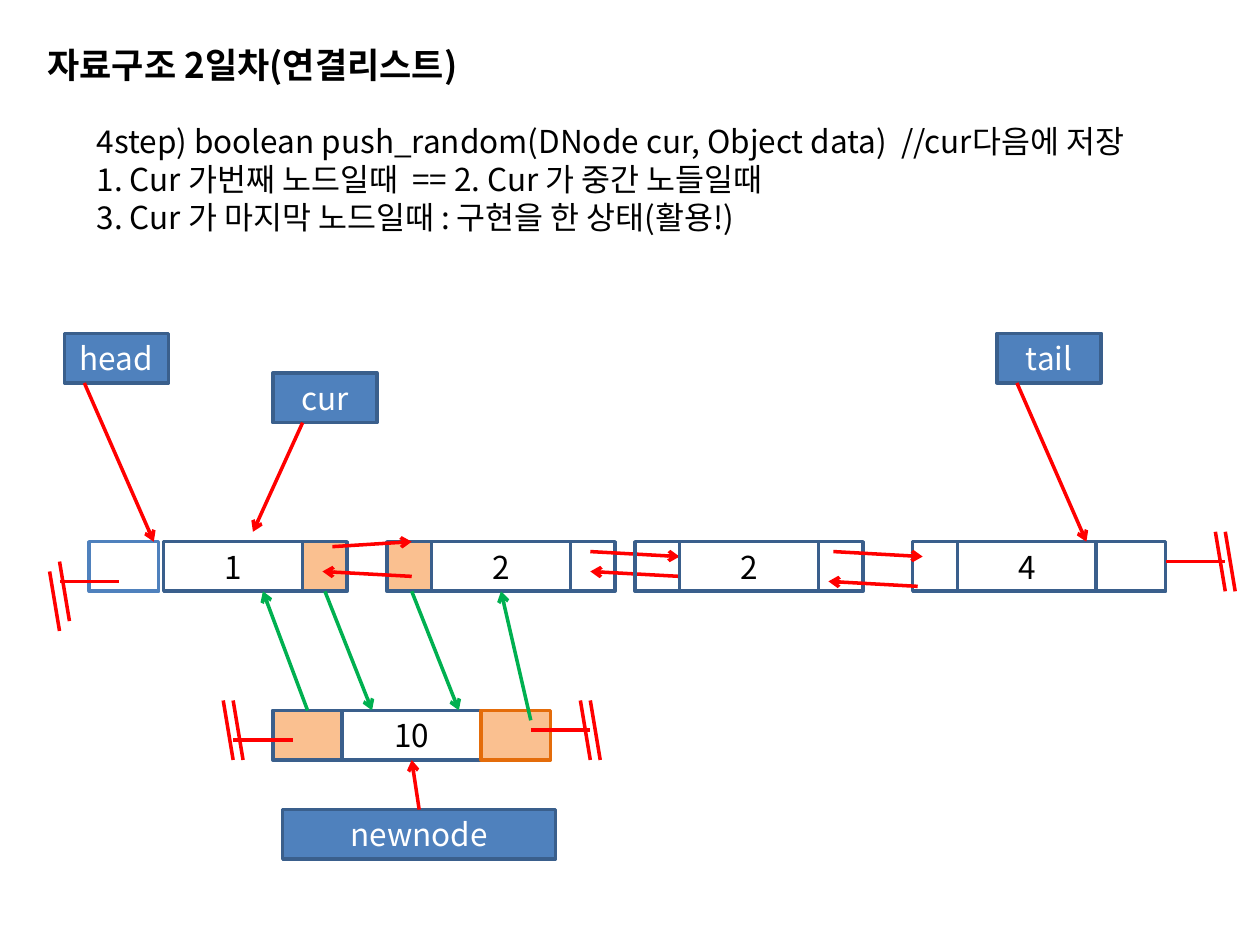
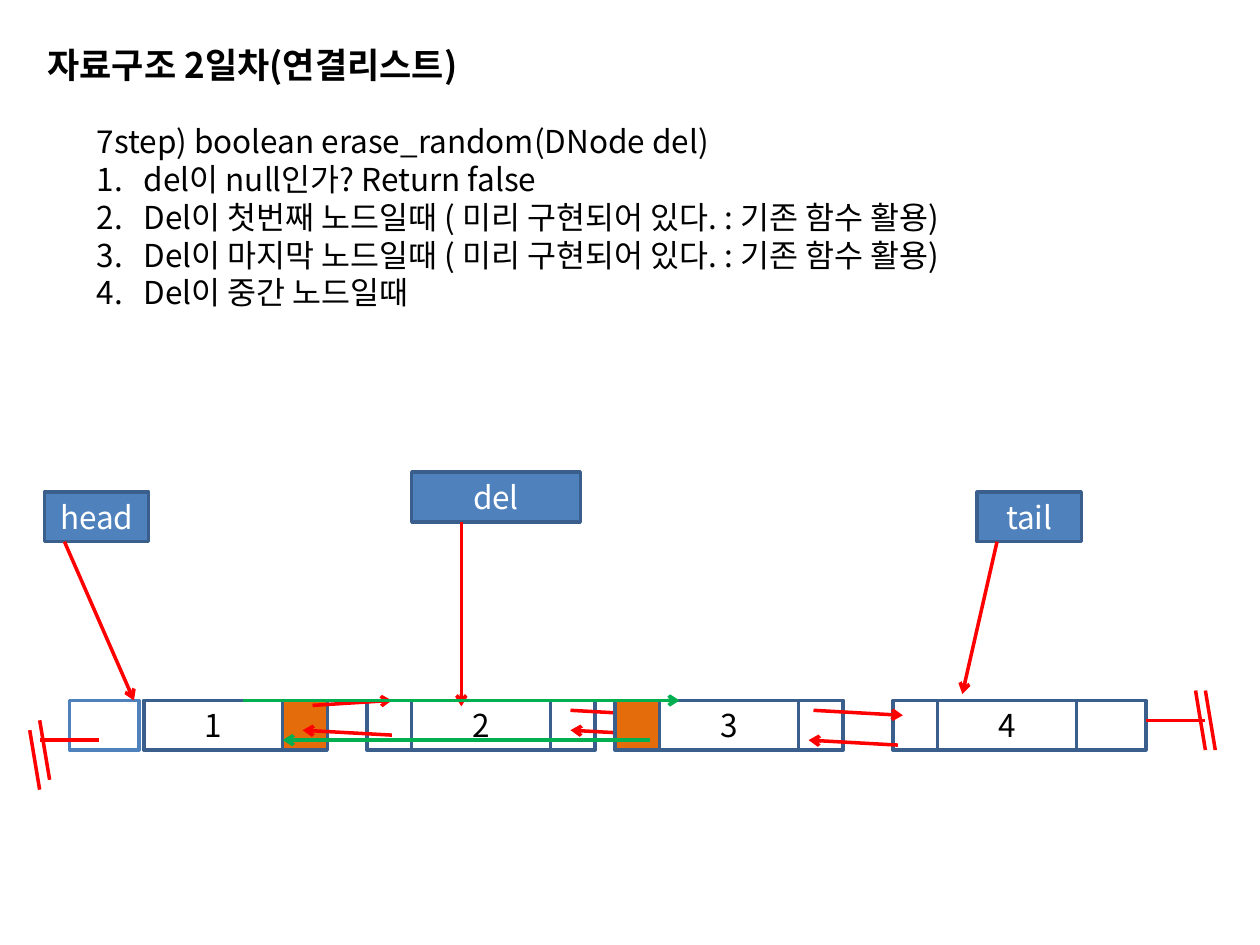
from lxml.etree import SubElement
from pptx import Presentation
from pptx.dml.color import RGBColor
from pptx.enum.shapes import MSO_CONNECTOR, MSO_SHAPE
from pptx.enum.text import MSO_ANCHOR, MSO_AUTO_SIZE, PP_ALIGN
from pptx.oxml.ns import qn
from pptx.util import Cm, Pt

FONT = "Noto Sans CJK KR"
COLORS = {
    "black": "000000", "white": "FFFFFF", "red": "FF0000", "green": "00B050",
    "blue": "4F81BD", "navy": "3A5F8C", "peach": "FAC090", "orange": "E46C0A",
}
TITLE = "자료구조 2일차(연결리스트)"
CELL_HEIGHT = 1.0
DATA_WIDTH = 2.8
LABEL_WIDTH = 2.1
NARROW, WIDE = 0.9, 1.4

NODES = [
    {"data": 1.5, "prev": WIDE, "next": NARROW, "gap": 0.1},
    {"data": 6.9, "prev": NARROW, "next": NARROW},
    {"data": 11.9, "prev": NARROW, "next": NARROW},
    {"data": 17.5, "prev": NARROW, "next": WIDE},
]
LINKS_AFTER_NODE = {
    2: [(4.9, 0.1, 6.5, 0), (6.5, 0.7, 4.7, 0.6),
        (10.1, 0.2, 11.9, 0.3), (11.9, 0.7, 10.1, 0.6)],
    4: [(15, 0.2, 16.8, 0.3), (16.7, 0.9, 14.9, 0.8)],
}
LIST_NULLS = [
    {"stem": (-0.6, 0.6, 0.8), "slashes": [(-0.6, 0.4), (-0.8, 0.6)]},
    {"stem": (21.7, 22.9, 0.4), "slashes": [(22.7, -0.2), (22.9, -0.2)]},
]
HEAD = {"name": "head", "at": (-0.5, -4.2), "arrow": (-0.1, -3.2, 1.3, 0)}
TAIL = {"name": "tail", "at": (18.3, -4.2)}

SLIDES = [
    {
        "origin": (1.8, 10.92),
        "text_size": (21.62, 5.64),
        "lines": [
            "4step) boolean push_random(DNode cur, Object data)  //cur다음에 저장",
            "1. Cur 가번째 노드일때  == 2. Cur 가 중간 노들일때",
            "3. Cur 가 마지막 노드일때 : 구현을 한 상태(활용!)",
        ],
        "numbered": False,
        "values": ["1", "2", "2", "4"],
        "fills": {(1, "next"): "peach", (2, "prev"): "peach", (4, "next"): "white"},
        "pointers": [
            HEAD,
            TAIL | {"arrow": (18.7, -3.2, 20.1, 0)},
            {"name": "cur", "at": (3.7, -3.4), "arrow": (4.3, -2.4, 3.3, -0.2)},
            {"name": "newnode", "at": (3.9, 5.4), "width": 5.5,
             "arrow": (6.65, 5.4, 6.5, 4.4)},
        ],
        "new_node": {
            "top": 3.4,
            "cells": [(3.7, WIDE, "", "peach", "navy"),
                      (5.1, DATA_WIDTH, "10", None, "navy"),
                      (7.9, WIDE, "", "peach", "orange")],
            "nulls": [
                {"stem": (2.9, 4.1, 4.0), "slashes": [(2.7, 3.2), (2.9, 3.2)]},
                {"stem": (8.9, 10.1, 3.8), "slashes": [(9.9, 3.2), (10.1, 3.2)]},
            ],
        },
        "new_links": [(4.4, 3.4, 3.5, 1), (8.9, 3.6, 8.3, 1),
                      (4.75, 1, 5.7, 3.4), (6.5, 1, 7.45, 3.4)],
    },
    {
        "origin": (1.4, 14.12),
        "text_size": (19.48, 7.19),
        "lines": [
            "7step) boolean erase_random(DNode del)",
            "del이 null인가? Return false",
            "Del이 첫번째 노드일때 ( 미리 구현되어 있다. : 기존 함수 활용)",
            "Del이 마지막 노드일때 ( 미리 구현되어 있다. : 기존 함수 활용)",
            "Del이 중간 노드일때",
        ],
        "numbered": True,
        "values": ["1", "2", "3", "4"],
        "fills": {(1, "next"): "orange", (2, "prev"): "white", (3, "prev"): "orange",
                  (3, "next"): "white", (4, "next"): "white"},
        "pointers": [
            HEAD,
            TAIL | {"arrow": (18.7, -3.2, 18, -0.13)},
            {"name": "del", "at": (6.9, -4.6), "width": 3.4,
             "arrow": (7.9, -3.6, 7.9, 0.12)},
        ],
        "new_node": None,
        "new_links": [(11.7, 0.8, 4.3, 0.8), (3.5, 0, 12.3, 0)],
    },
]


def rgb(name):
    return RGBColor.from_string(COLORS[name])


def add_text(paragraph, text, size=18, color="black", bold=False):
    run = paragraph.add_run()
    run.text = text
    font = run.font
    font.size, font.bold, font.name = Pt(size), bold, FONT
    font.color.rgb = rgb(color)
    SubElement(font._element, qn("a:ea"), typeface=FONT)


def add_title(slide):
    title = slide.shapes.title
    title.left, title.top, title.width, title.height = Cm(0.7), Cm(0.74), Cm(16.6), Cm(1.11)
    frame = title.text_frame
    frame.auto_size = MSO_AUTO_SIZE.SHAPE_TO_FIT_TEXT
    frame.vertical_anchor = MSO_ANCHOR.TOP
    paragraph = frame.paragraphs[0]
    paragraph.alignment = PP_ALIGN.LEFT
    add_text(paragraph, TITLE, 20, bold=True)


def add_steps(slide, lines, size, numbered):
    width, height = size
    frame = slide.shapes.add_textbox(Cm(1.7), Cm(2.34), Cm(width), Cm(height)).text_frame
    frame.word_wrap = False
    frame.auto_size = MSO_AUTO_SIZE.SHAPE_TO_FIT_TEXT
    for index, line in enumerate(lines):
        paragraph = frame.add_paragraph() if index else frame.paragraphs[0]
        if numbered and index:
            properties = paragraph._p.get_or_add_pPr()
            properties.set("marL", str(Cm(0.95)))
            properties.set("indent", str(-Cm(0.95)))
            SubElement(properties, qn("a:buFont"), typeface="+mj-lt")
            SubElement(properties, qn("a:buAutoNum"), type="arabicPeriod")
        add_text(paragraph, line)


class ListDiagram:
    def __init__(self, slide, origin):
        self.shapes = slide.shapes
        self.left, self.top = origin

    def place(self, x, y):
        return Cm(self.left + x), Cm(self.top + y)

    def box(self, x, y, width, text="", fill=None, border="navy", color="black"):
        shape = self.shapes.add_shape(
            MSO_SHAPE.RECTANGLE, *self.place(x, y), Cm(width), Cm(CELL_HEIGHT))
        shape.shadow.inherit = False
        if fill:
            shape.fill.solid()
            shape.fill.fore_color.rgb = rgb(fill)
        else:
            shape.fill.background()
        shape.line.color.rgb = rgb(border)
        shape.line.width = Pt(2)
        if text:
            shape.text_frame.vertical_anchor = MSO_ANCHOR.MIDDLE
            paragraph = shape.text_frame.paragraphs[0]
            paragraph.alignment = PP_ALIGN.CENTER
            add_text(paragraph, text, color=color)

    def line(self, x1, y1, x2, y2, color="red", arrow=False):
        connector = self.shapes.add_connector(
            MSO_CONNECTOR.STRAIGHT, *self.place(x1, y1), *self.place(x2, y2))
        connector.line.color.rgb = rgb(color)
        connector.line.width = Pt(2)
        if arrow:
            SubElement(connector.line._get_or_add_ln(), qn("a:tailEnd"), type="arrow")
        SubElement(connector._element.spPr, qn("a:effectLst"))

    def arrows(self, links, color="red"):
        for link in links:
            self.line(*link, color, arrow=True)

    def nulls(self, marks):
        for mark in marks:
            start, end, y = mark["stem"]
            self.line(start, y, end, y)
            for x, top in mark["slashes"]:
                self.line(x, top, x + 0.2, top + 1.2)

    def nodes(self, values, fills):
        for number, (node, value) in enumerate(zip(NODES, values), 1):
            data = node["data"]
            prev_left = data - node["prev"] - node.get("gap", 0)
            self.box(prev_left, 0, node["prev"], fill=fills.get((number, "prev")),
                     border="blue" if number == 1 else "navy")
            self.box(data, 0, DATA_WIDTH, value)
            self.box(data + DATA_WIDTH, 0, node["next"], fill=fills.get((number, "next")))
            self.arrows(LINKS_AFTER_NODE.get(number, []))

    def pointers(self, pointers):
        for pointer in pointers:
            self.box(*pointer["at"], pointer.get("width", LABEL_WIDTH),
                     pointer["name"], "blue", color="white")
            self.arrows([pointer["arrow"]])

    def new_node(self, node):
        for x, width, text, fill, border in node["cells"]:
            self.box(x, node["top"], width, text, fill, border)
        self.nulls(node["nulls"])


def build_slide(presentation, content):
    slide = presentation.slides.add_slide(presentation.slide_layouts[5])
    add_title(slide)
    add_steps(slide, content["lines"], content["text_size"], content["numbered"])
    diagram = ListDiagram(slide, content["origin"])
    diagram.nodes(content["values"], content["fills"])
    diagram.nulls(LIST_NULLS)
    if content["new_node"]:
        diagram.new_node(content["new_node"])
    diagram.pointers(content["pointers"])
    diagram.arrows(content["new_links"], "green")


def main():
    presentation = Presentation()
    presentation.slide_width, presentation.slide_height = Cm(25.4), Cm(19.05)
    for content in SLIDES:
        build_slide(presentation, content)
    presentation.save("out.pptx")


if __name__ == "__main__":
    main()
